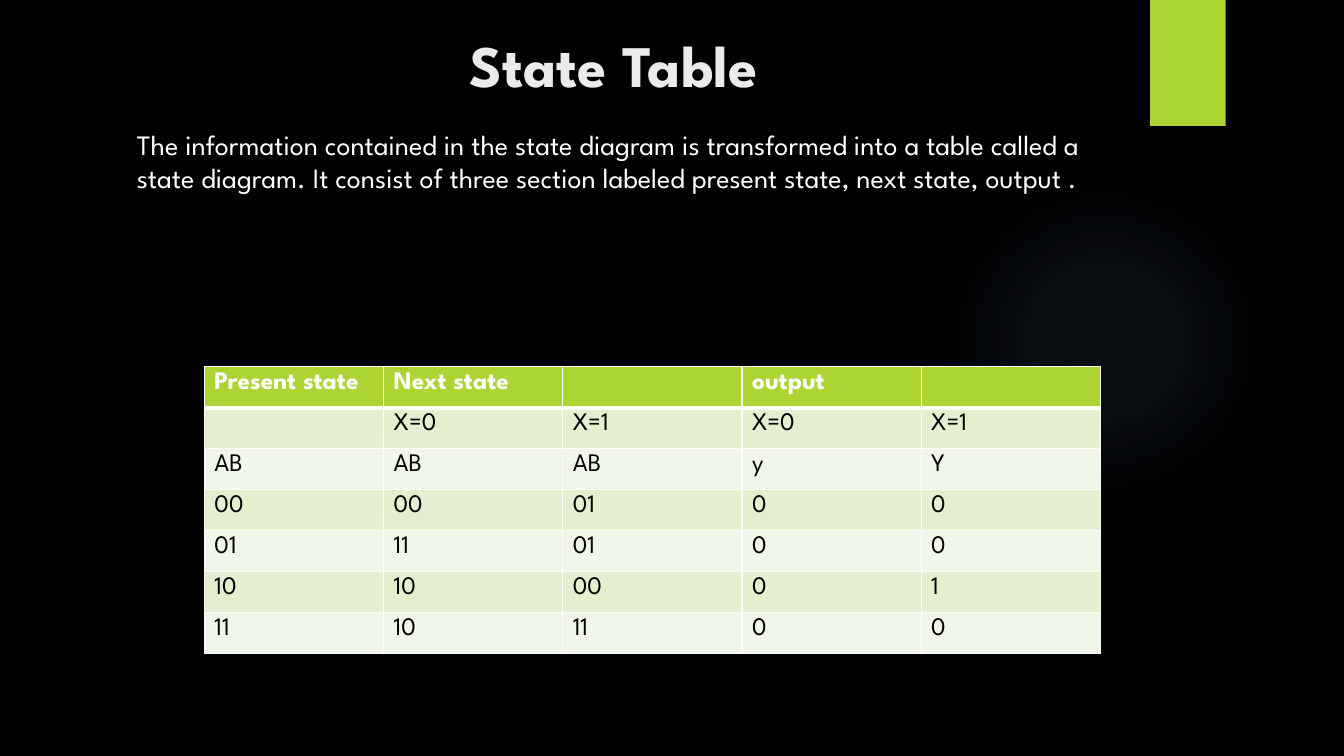
import pptx
import pptx.dml.color
import pptx.enum.shapes
import pptx.enum.text
import pptx.oxml
import pptx.oxml.ns
import pptx.util

Pt = pptx.util.Pt
FONT = "League Spartan"
COLORS = {
    "background": "000000",
    "accent": "ACD433",
    "glow": "7AC4F0",
    "title": "EBEBEB",
    "light": "FFFFFF",
    "dark": "000000",
    "odd_row": "E3EFCE",
    "even_row": "F1F7E8",
}
INTRO = (
    "The information contained in the state diagram is transformed into a table "
    "called a state diagram. It consist of three section labeled present state, "
    "next state, output ."
)
STATES = [
    ["Present state", "Next state", "", "output", ""],
    ["", "X=0", "X=1", "X=0", "X=1"],
    ["AB", "AB", "AB", "y", "Y"],
    ["00", "00", "01", "0", "0"],
    ["01", "11", "01", "0", "0"],
    ["10", "10", "00", "0", "1"],
    ["11", "10", "11", "0", "0"],
]


def color(name):
    return pptx.dml.color.RGBColor.from_string(COLORS[name])


def paint(fill, name):
    fill.solid()
    fill.fore_color.rgb = color(name)


def write(frame, text, size, name, bold=False):
    frame.text = text
    for span in frame.paragraphs[0].runs:
        span.font.name = FONT
        span.font.size = Pt(size)
        span.font.bold = bold
        span.font.color.rgb = color(name)


def add_plain_shape(page, kind, box):
    shape = page.shapes.add_shape(kind, *map(Pt, box))
    shape.shadow.inherit = False
    shape.line.fill.background()
    return shape


def add_backdrop(page, width):
    paint(page.background.fill, "background")
    kinds = pptx.enum.shapes.MSO_SHAPE

    # Soft round glow that fades out towards its rim
    glow = add_plain_shape(page, kinds.OVAL, (width - 282.5, 131.75, 222, 222))
    glow.fill.background()
    stops = "".join(
        f'<a:gs pos="{place * 1000}"><a:srgbClr val="{COLORS["glow"]}">'
        f'<a:alpha val="{alpha * 1000}"/></a:srgbClr></a:gs>'
        for place, alpha in [(0, 7), (36, 6), (69, 0)]
    )
    gradient = pptx.oxml.parse_xml(
        f'<a:gradFill {pptx.oxml.ns.nsdecls("a")} rotWithShape="1">'
        f"<a:gsLst>{stops}</a:gsLst>"
        '<a:path path="circle"><a:fillToRect l="50000" t="50000" r="50000" b="50000"/>'
        "</a:path></a:gradFill>"
    )
    properties = glow.element.spPr
    properties.replace(properties.find(pptx.oxml.ns.qn("a:noFill")), gradient)

    # Accent tab at the top edge
    tab = add_plain_shape(page, kinds.RECTANGLE, (width - 138.5, 0, 54, 90))
    paint(tab.fill, "accent")


def add_heading(page, box):
    left, top, width, height = box

    # Title
    title = page.shapes.title
    title.left, title.top, title.width, title.height = map(Pt, (left, top, width, height))
    frame = title.text_frame
    write(frame, "State Table", 42, "title", bold=True)
    frame.auto_size = pptx.enum.text.MSO_AUTO_SIZE.NONE
    frame.vertical_anchor = pptx.enum.text.MSO_ANCHOR.BOTTOM
    frame.paragraphs[0].alignment = pptx.enum.text.PP_ALIGN.CENTER

    # Introduction
    intro = page.shapes.add_textbox(Pt(left), Pt(top + 70), Pt(width + 35), Pt(356))
    intro.text_frame.word_wrap = True
    write(intro.text_frame, INTRO, 20, "light")
    intro.text_frame.paragraphs[0].space_before = Pt(10)


def set_borders(cell, widths):
    properties = cell._tc.get_or_add_tcPr()
    for index, (side, width) in enumerate(widths.items()):
        border = pptx.oxml.parse_xml(
            f'<a:ln{side} {pptx.oxml.ns.nsdecls("a")} w="{Pt(width)}"><a:solidFill>'
            f'<a:srgbClr val="{COLORS["light"]}"/></a:solidFill></a:ln{side}>'
        )
        properties.insert(index, border)


def add_state_table(page, box):
    left, top, width, height = box
    rows, columns = len(STATES), len(STATES[0])
    table = page.shapes.add_table(rows, columns, *map(Pt, box)).table
    for column in table.columns:
        column.width = Pt(width / columns)
    for row in table.rows:
        row.height = Pt(height / rows)

    for row_index, texts in enumerate(STATES):
        header = row_index == 0
        band = "accent" if header else "odd_row" if row_index % 2 else "even_row"
        borders = {
            "L": 1,
            "R": 1,
            "T": 3 if row_index == 1 else 1,
            "B": 3 if header else 1,
        }
        for column_index, text in enumerate(texts):
            cell = table.cell(row_index, column_index)
            write(cell.text_frame, text, 18, "light" if header else "dark", header)
            paint(cell.fill, band)
            set_borders(cell, borders)


def main():
    deck = pptx.Presentation()
    width = 960
    deck.slide_width, deck.slide_height = Pt(width), Pt(540)
    page = deck.slides.add_slide(deck.slide_layouts.get_by_name("Title Only"))
    add_backdrop(page, width)
    add_heading(page, (90.75, 17.25, 695, 57.6))
    add_state_table(page, (146, 262, 640, 204.75))
    deck.save("out.pptx")


if __name__ == "__main__":
    main()
